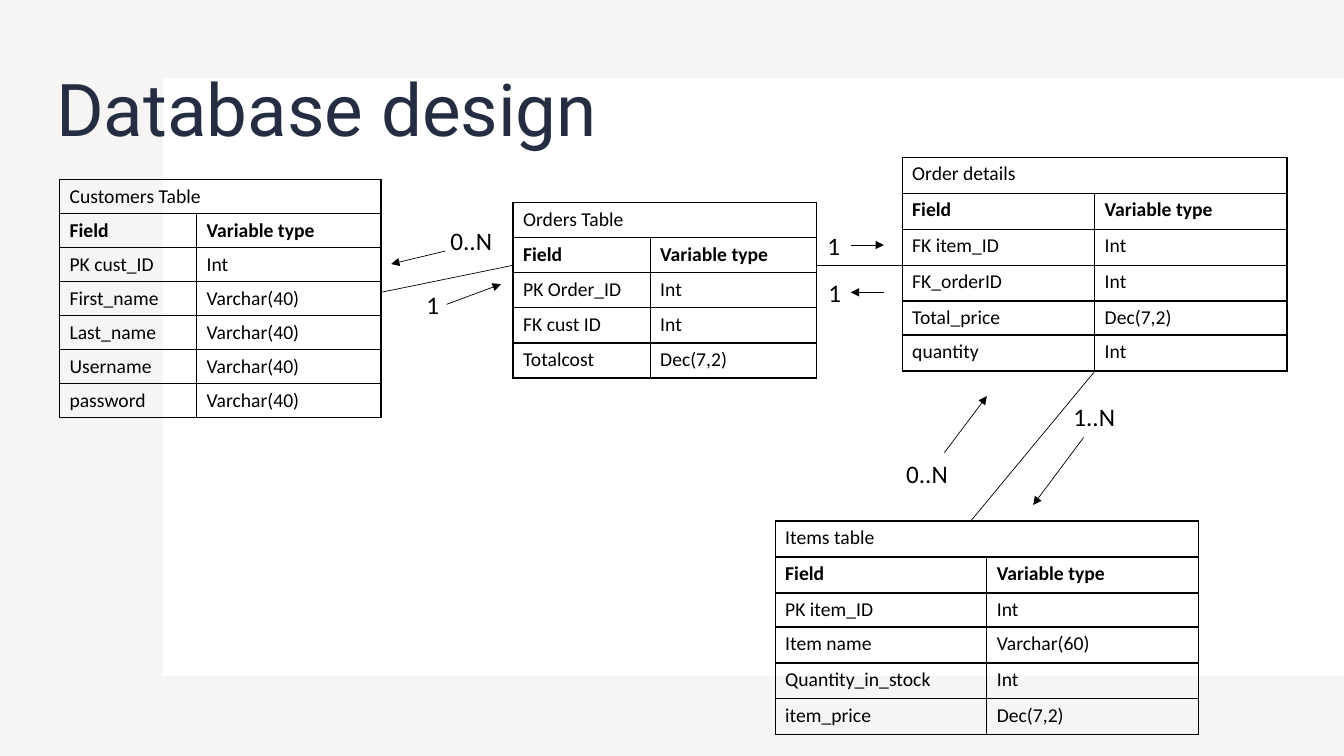
from dataclasses import dataclass

import pptx
import pptx.dml.color
import pptx.enum.shapes
import pptx.enum.text
import pptx.oxml
import pptx.oxml.ns
import pptx.util

Pt = pptx.util.Pt


@dataclass(frozen=True)
class Theme:
    ink: str = "000000"
    title_ink: str = "242D41"
    paper: str = "FFFFFF"
    frame: str = "E8E3E2"
    body_font: str = "Calibri"
    title_font: str = "Roboto"
    title_size: float = 52
    label_size: float = 18
    cell_size: float = 14
    border: float = 1
    link: float = 0.5


THEME = Theme()

# heading, left, top, column widths, row heights, fields
ENTITIES = [
    ("Customers Table", 42.5, 128.2, (97.9, 131.8), [24.3] * 7, [
        ("PK cust_ID", "Int"),
        ("First_name", "Varchar(40)"),
        ("Last_name", "Varchar(40)"),
        ("Username", "Varchar(40)"),
        ("password", "Varchar(40)"),
    ]),
    ("Orders Table", 366.5, 144.7, (97.9, 118.8), [25.06] * 5, [
        ("PK Order_ID", "Int"),
        ("FK cust ID", "Int"),
        ("Totalcost", "Dec(7,2)"),
    ]),
    ("Items table", 553.7, 372.2, (151.2, 151.2), [25.7, 25.7, 24.3, 25.7, 25.7, 25.7], [
        ("PK item_ID", "Int"),
        ("Item name", "Varchar(60)"),
        ("Quantity_in_stock", "Int"),
        ("item_price", "Dec(7,2)"),
    ]),
    ("Order details", 644.4, 112.3, (137.5, 137.5), [25.7, 25.7, 25.7, 25.7, 24.3, 25.7], [
        ("FK item_ID", "Int"),
        ("FK_orderID", "Int"),
        ("Total_price", "Dec(7,2)"),
        ("quantity", "Int"),
    ]),
]

RELATIONS = [
    (583.2, 189.5, 645, 189.5),
    (693.4, 372.2, 782.6, 264.5),
    (272.2, 208.8, 366.5, 189.5),
]

DIRECTIONS = [
    (318.2, 179.3, 279.4, 188.6),
    (319, 217.4, 357.8, 203),
    (774, 312.5, 738, 360.7),
    (674.6, 323.3, 704.9, 283),
    (607.7, 175, 631.4, 175),
    (631.4, 208.8, 607.7, 208.8),
]

# text, left, top, width
CARDINALITIES = [
    ("1", 583.9, 160.6, 23.8),
    ("1..N", 759.6, 283, 45.4),
    ("0..N", 314.6, 157, 44.6),
    ("1", 297.4, 203, 60.5),
    ("0..N", 640.1, 323.3, 44.6),
    ("1", 584.6, 194.4, 23.8),
]


def rgb(value):
    return pptx.dml.color.RGBColor.from_string(value)


def write(frame, text, *, size, font=THEME.body_font, color=THEME.ink, bold=False,
          line_spacing=None):
    paragraph = frame.paragraphs[0]
    paragraph.line_spacing = line_spacing
    run = paragraph.add_run()
    run.text = text
    run.font.size = Pt(size)
    run.font.name = font
    run.font.bold = bold
    run.font.color.rgb = rgb(color)


def add_panel(slide, left, top, width, height, color, opacity=100):
    panel = slide.shapes.add_shape(pptx.enum.shapes.MSO_SHAPE.RECTANGLE,
                                   Pt(left), Pt(top), Pt(width), Pt(height))
    panel.shadow.inherit = False
    panel.line.fill.background()
    panel.fill.solid()
    panel.fill.fore_color.rgb = rgb(color)
    if opacity < 100:
        tint = panel.fill._xPr.find(".//" + pptx.oxml.ns.qn("a:srgbClr"))
        tint.append(pptx.oxml.parse_xml(
            f'<a:alpha {pptx.oxml.ns.nsdecls("a")} val="{opacity * 1000}"/>'))


def add_label(slide, text, left, top, width, height, *, wrap=False, **text_format):
    label = slide.shapes.add_textbox(Pt(left), Pt(top), Pt(width), Pt(height))
    label.text_frame.word_wrap = wrap
    label.text_frame.vertical_anchor = pptx.enum.text.MSO_ANCHOR.MIDDLE
    write(label.text_frame, text, **text_format)


def outline_cell(cell):
    """Draw all four borders of a cell that has no fill."""
    cell.fill.background()
    properties = cell._tc.get_or_add_tcPr()
    for position, side in enumerate(("lnL", "lnR", "lnT", "lnB")):
        properties.insert(position, pptx.oxml.parse_xml(
            f'<a:{side} {pptx.oxml.ns.nsdecls("a")} w="{Pt(THEME.border)}">'
            f'<a:solidFill><a:srgbClr val="{THEME.ink}"/></a:solidFill></a:{side}>'))


def add_entity(slide, heading, left, top, widths, heights, fields):
    table = slide.shapes.add_table(len(heights), len(widths), Pt(left), Pt(top),
                                   Pt(sum(widths)), Pt(sum(heights))).table
    table.first_row = False
    table.horz_banding = False
    for column, width in zip(table.columns, widths):
        column.width = Pt(width)
    for row, height in zip(table.rows, heights):
        row.height = Pt(height)
    for cell in table.iter_cells():
        outline_cell(cell)
    table.cell(0, 0).merge(table.cell(0, 1))
    write(table.cell(0, 0).text_frame, heading, size=THEME.cell_size)
    for row, texts in enumerate([("Field", "Variable type")] + fields, start=1):
        for column, text in enumerate(texts):
            write(table.cell(row, column).text_frame, text,
                  size=THEME.cell_size, bold=row == 1)


def add_link(slide, x1, y1, x2, y2, arrow=False):
    link = slide.shapes.add_connector(pptx.enum.shapes.MSO_CONNECTOR.STRAIGHT,
                                      Pt(x1), Pt(y1), Pt(x2), Pt(y2))
    link.line.width = Pt(THEME.link)
    link.line.color.rgb = rgb(THEME.ink)
    if arrow:
        link.line._get_or_add_ln().append(pptx.oxml.parse_xml(
            f'<a:tailEnd {pptx.oxml.ns.nsdecls("a")} type="triangle"/>'))
    link._element.spPr.append(pptx.oxml.parse_xml(
        f'<a:effectLst {pptx.oxml.ns.nsdecls("a")}/>'))


def main():
    deck = pptx.Presentation()
    deck.slide_width, deck.slide_height = Pt(960), Pt(540)
    slide = deck.slides.add_slide(deck.slide_layouts[6])

    add_panel(slide, 0, 0, 960, 540, THEME.frame, opacity=35)
    add_panel(slide, 116.4, 56, 843.6, 427, THEME.paper)
    add_label(slide, "Database design", 33.1, 28.8, 830.2, 104.4, wrap=True,
              size=THEME.title_size, font=THEME.title_font, color=THEME.title_ink,
              line_spacing=0.9)
    for entity in ENTITIES:
        add_entity(slide, *entity)
    for relation in RELATIONS:
        add_link(slide, *relation)
    for direction in DIRECTIONS:
        add_link(slide, *direction, arrow=True)
    for text, left, top, width in CARDINALITIES:
        add_label(slide, text, left, top, width, 29.1, size=THEME.label_size)

    deck.save("out.pptx")


if __name__ == "__main__":
    main()
